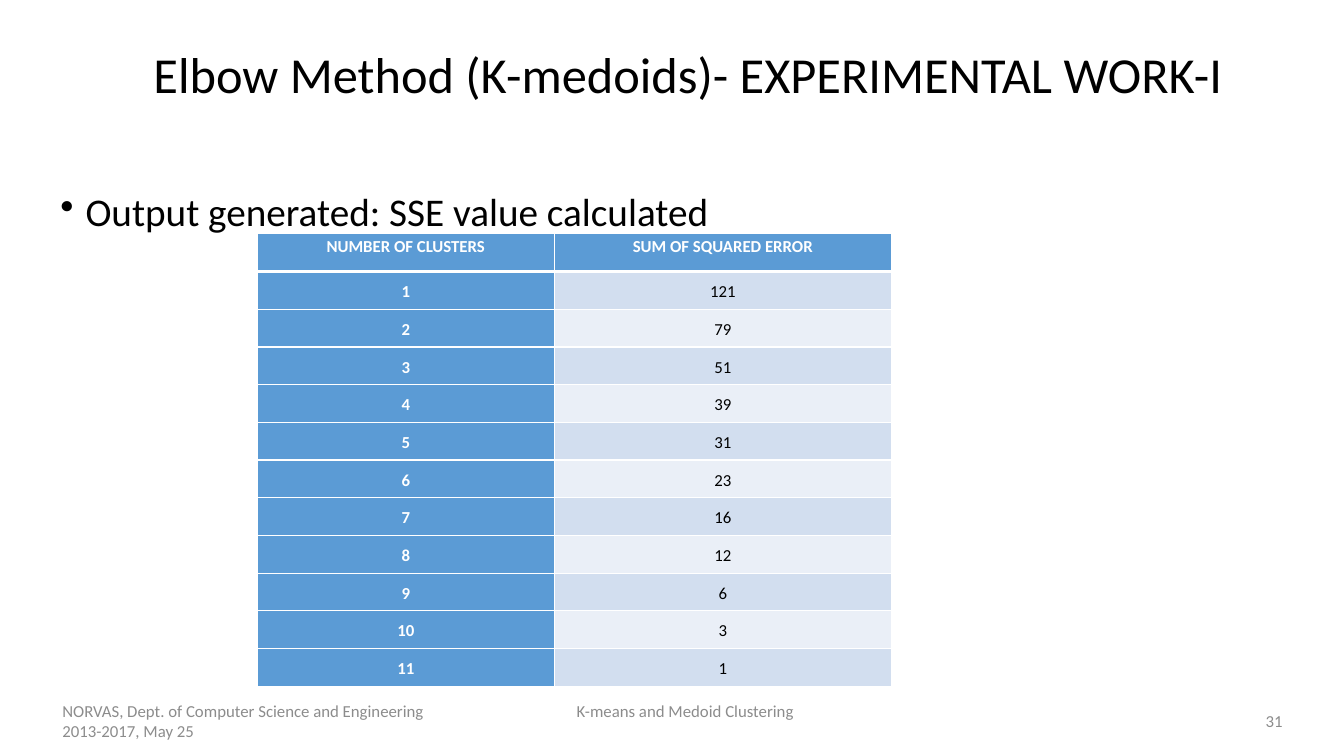
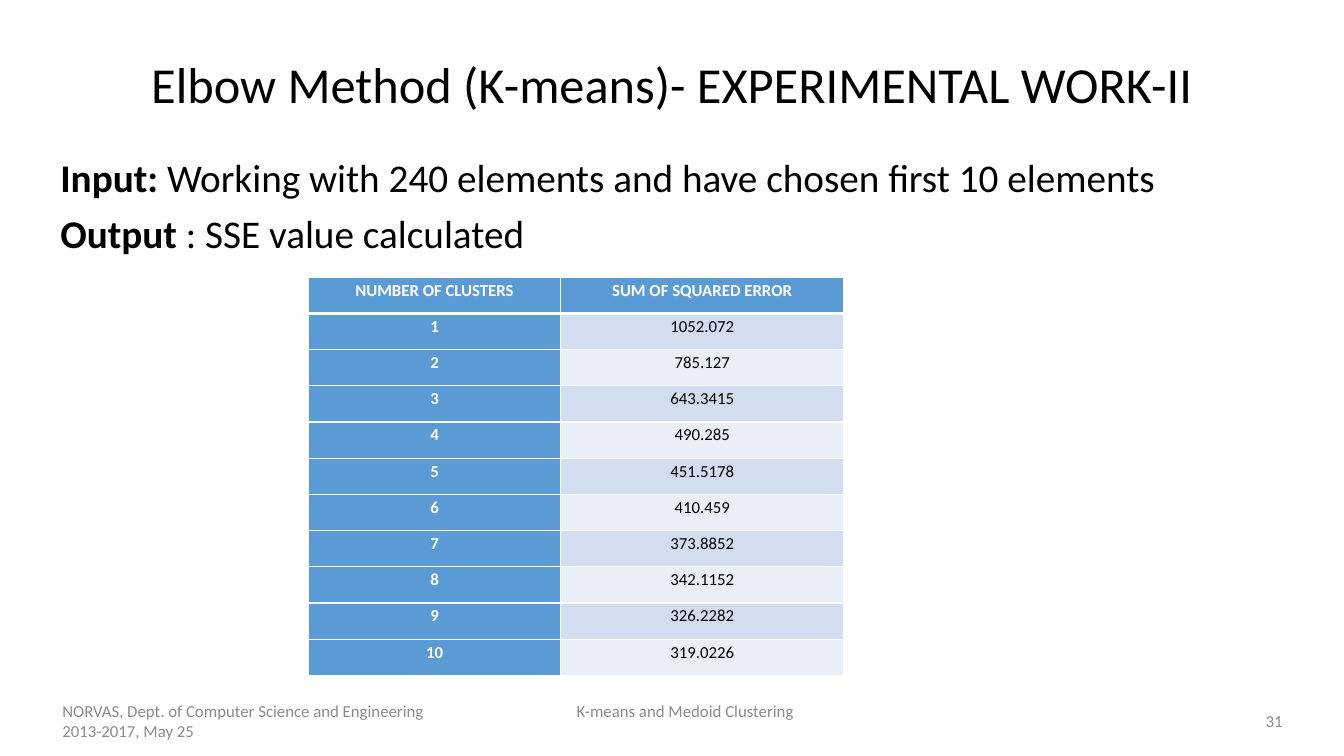
"""Build two slides of elbow method results, each with a table of errors."""
from pptx import Presentation
from pptx.dml.color import RGBColor
from pptx.enum.text import MSO_ANCHOR, PP_ALIGN
from pptx.oxml import parse_xml
from pptx.oxml.ns import nsdecls
from pptx.util import Emu, Pt

PX = 9144
FONT = "Calibri"
BLACK, WHITE, GREY, BLUE = "000000", "FFFFFF", "8C8C8C", "5B9BD5"
BANDS = ["EAEFF7", "D2DEEF"]
HEADS = ["NUMBER OF CLUSTERS", "SUM OF SQUARED ERROR"]
FOOTER = ["NORVAS, Dept. of Computer Science and Engineering\tK-means and Medoid Clustering",
          "2013-2017, May 25"]


def write(para, parts, size, color, align=PP_ALIGN.LEFT, space=1.0, bold=False):
    """Fill a paragraph with (text, bold) parts in one font."""
    para.alignment = align
    para.line_spacing = space
    font = para.font
    font.name, font.size, font.bold = FONT, Pt(size), bold
    font.color.rgb = RGBColor.from_string(color)
    for text, strong in parts:
        run = para.add_run()
        run.text = text
        if strong:
            run.font.bold = True


def frame(slide, box, lines, anchor, *style):
    """Add a text box with one paragraph per line and return its paragraphs."""
    text = slide.shapes.add_textbox(*[Emu(n * PX) for n in box]).text_frame
    text.word_wrap = True
    text.vertical_anchor = anchor
    for i, parts in enumerate(lines):
        para = text.add_paragraph() if i else text.paragraphs[0]
        write(para, parts, *style)
    return text.paragraphs


pages = [
    {
        "title": "Elbow Method (K-medoids)- EXPERIMENTAL WORK-I",
        "place": (32, 18, 1301, 118),
        "body": [[("Output generated: SSE value calculated", False)]],
        "top": 186,
        "bullet": True,
        "table": (255, 232, 629, 449),
        "split": 295,
        "anchor": MSO_ANCHOR.MIDDLE,
        "errors": "121 79 51 39 31 23 16 12 6 3 1",
    },
    {
        "title": "Elbow Method (K-means)- EXPERIMENTAL WORK-II",
        "place": (0, 27, 1333, 118),
        "body": [
            [("Input: ", True),
             ("Working with 240 elements and have chosen first 10 elements", False)],
            [("Output", True), (" : SSE value calculated", False)],
        ],
        "top": 152,
        "bullet": False,
        "table": (306, 275, 531, 395),
        "split": 250,
        "anchor": MSO_ANCHOR.TOP,
        "errors": "1052.072 785.127 643.3415 490.285 451.5178 410.459 "
                  "373.8852 342.1152 326.2282 319.0226",
    },
]

deck = Presentation()
deck.slide_width, deck.slide_height = Emu(1333 * PX), Emu(750 * PX)

for page in pages:
    slide = deck.slides.add_slide(deck.slide_layouts[6])

    notes = frame(slide, (52, 695, 900, 40), [[(line, False)] for line in FOOTER],
                  MSO_ANCHOR.MIDDLE, 12, GREY)
    tabs = parse_xml(f'<a:tabLst {nsdecls("a")}><a:tab pos="{510 * PX}" algn="l"/></a:tabLst>')
    notes[0]._p.get_or_add_pPr().insert_element_before(tabs, "a:defRPr")
    frame(slide, (982, 695, 300, 40), [[("31", False)]],
          MSO_ANCHOR.MIDDLE, 12, GREY, PP_ALIGN.RIGHT)

    frame(slide, page["place"], [[(page["title"], False)]],
          MSO_ANCHOR.MIDDLE, 36, BLACK, PP_ALIGN.CENTER, 0.9)

    body = frame(slide, (50, page["top"], 1232, 54 * len(page["body"])), page["body"],
                 MSO_ANCHOR.TOP, 28, BLACK, PP_ALIGN.LEFT, 0.9)
    for para in body:
        para.space_after = Pt(10)
        if page["bullet"]:
            props = para._p.get_or_add_pPr()
            props.set("marL", str(25 * PX))
            props.set("indent", str(-25 * PX))
            mark = parse_xml(f'<a:buChar {nsdecls("a")} char="•"/>')
            props.insert_element_before(mark, "a:defRPr")

    rows = [HEADS] + [[str(n), value] for n, value in enumerate(page["errors"].split(), 1)]
    table = slide.shapes.add_table(len(rows), 2, *[Emu(n * PX) for n in page["table"]]).table
    split = page["split"]
    for col, width in zip(table.columns, (split, page["table"][2] - split)):
        col.width = Emu(width * PX)
    for r, row in enumerate(rows):
        for c, value in enumerate(row):
            cell = table.cell(r, c)
            strong = r == 0 or c == 0
            cell.margin_left = cell.margin_right = Emu(7 * PX)
            cell.margin_top = cell.margin_bottom = 0
            cell.vertical_anchor = page["anchor"] if r else MSO_ANCHOR.TOP
            for side in "LRTB":
                thick = (r, side) in [(0, "B"), (1, "T")]
                cell._tc.get_or_add_tcPr().append(parse_xml(
                    f'<a:ln{side} {nsdecls("a")} w="{Pt(3 if thick else 1)}"><a:solidFill>'
                    f'<a:srgbClr val="{WHITE}"/></a:solidFill></a:ln{side}>'))
            cell.fill.solid()
            cell.fill.fore_color.rgb = RGBColor.from_string(BLUE if strong else BANDS[r % 2])
            write(cell.text_frame.paragraphs[0], [(value, False)], 12,
                  WHITE if strong else BLACK, PP_ALIGN.CENTER, 1.15, strong)

deck.save("out.pptx")
